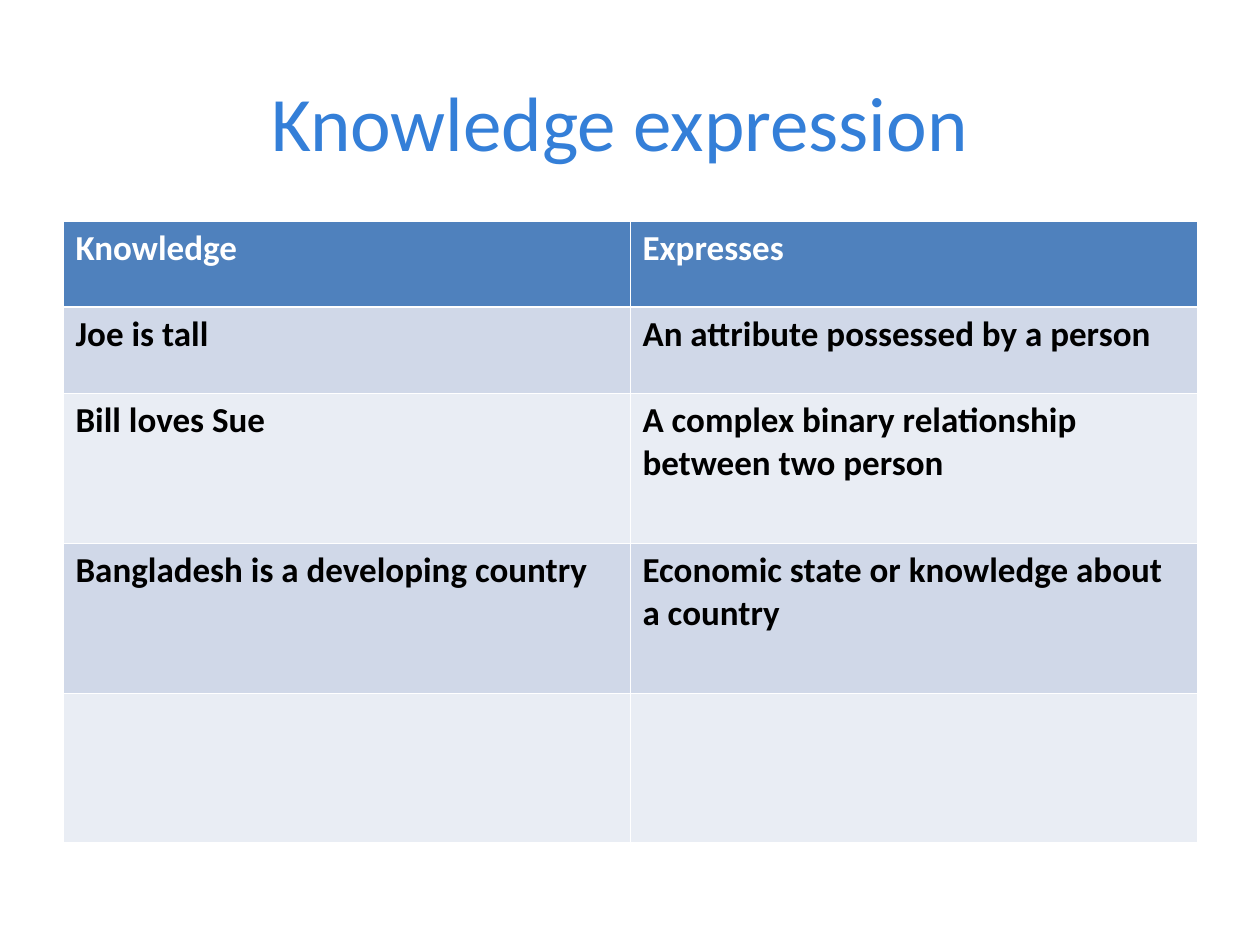
from lxml.etree import SubElement
from pptx import Presentation
from pptx.dml.color import RGBColor
from pptx.enum.text import MSO_ANCHOR, PP_ALIGN
from pptx.oxml.ns import qn
from pptx.util import Pt

PX = 914400 // 126
WHITE = "FFFFFF"
HEADER_FILL = "4F81BD"
BAND_FILLS = ("D0D8E8", "E9EDF4")
THIN, THICK = 0.45, 1.47
ROW_HEIGHTS = (86, 86, 150, 150, 150)
COLUMN_WIDTH = 567
ROWS = (
    ("Knowledge", "Expresses"),
    ("Joe is tall", "An attribute possessed by a person"),
    ("Bill loves Sue", "A complex binary relationship between two person"),
    ("Bangladesh is a developing country",
     "Economic state or knowledge about a country"),
    ("", ""),
)
TITLE_FONT = {"name": "Calibri", "size": Pt(44), "bold": False}
CELL_FONT = {"name": "Calibri", "size": Pt(20), "bold": True}


def px(n):
    return n * PX


def rgb(value):
    return RGBColor.from_string(value)


def write(p, text, font, color):
    r = p.add_run()
    r.text = text
    for name, value in font.items():
        setattr(r.font, name, value)
    r.font.color.rgb = rgb(color)


def add_title(s, text, x, y, w, h):
    tf = s.shapes.add_textbox(px(x), px(y), px(w), px(h)).text_frame
    tf.word_wrap = True
    tf.vertical_anchor = MSO_ANCHOR.MIDDLE
    p = tf.paragraphs[0]
    p.alignment = PP_ALIGN.CENTER
    write(p, text, TITLE_FONT, "347FD8")


def set_borders(cell, widths):
    tc_pr = cell._tc.get_or_add_tcPr()
    for side, width in widths.items():
        ln = SubElement(tc_pr, qn(f"a:ln{side}"), w=str(Pt(width)))
        fill = SubElement(ln, qn("a:solidFill"))
        SubElement(fill, qn("a:srgbClr"), val=WHITE)


def format_cell(cell, text, row):
    header = row == 0
    set_borders(cell, {
        "L": THIN,
        "R": THIN,
        "T": THICK if row == 1 else THIN,
        "B": THICK if header else THIN,
    })
    cell.fill.solid()
    fill = HEADER_FILL if header else BAND_FILLS[(row - 1) % 2]
    cell.fill.fore_color.rgb = rgb(fill)
    if text:
        color = WHITE if header else "000000"
        write(cell.text_frame.paragraphs[0], text, CELL_FONT, color)


def add_knowledge_table(s, x, y):
    columns = len(ROWS[0])
    table = s.shapes.add_table(
        len(ROWS), columns, px(x), px(y),
        px(columns * COLUMN_WIDTH), px(sum(ROW_HEIGHTS))).table
    for column in table.columns:
        column.width = px(COLUMN_WIDTH)
    for i, (height, texts) in enumerate(zip(ROW_HEIGHTS, ROWS)):
        table.rows[i].height = px(height)
        for j, text in enumerate(texts):
            format_cell(table.cell(i, j), text, i)


def main():
    prs = Presentation()
    prs.slide_width, prs.slide_height = px(1260), px(945)
    s = prs.slides.add_slide(prs.slide_layouts[6])
    add_title(s, "Knowledge expression", 53, 42, 1134, 158)
    add_knowledge_table(s, 63, 221)
    prs.save("out.pptx")


if __name__ == "__main__":
    main()
